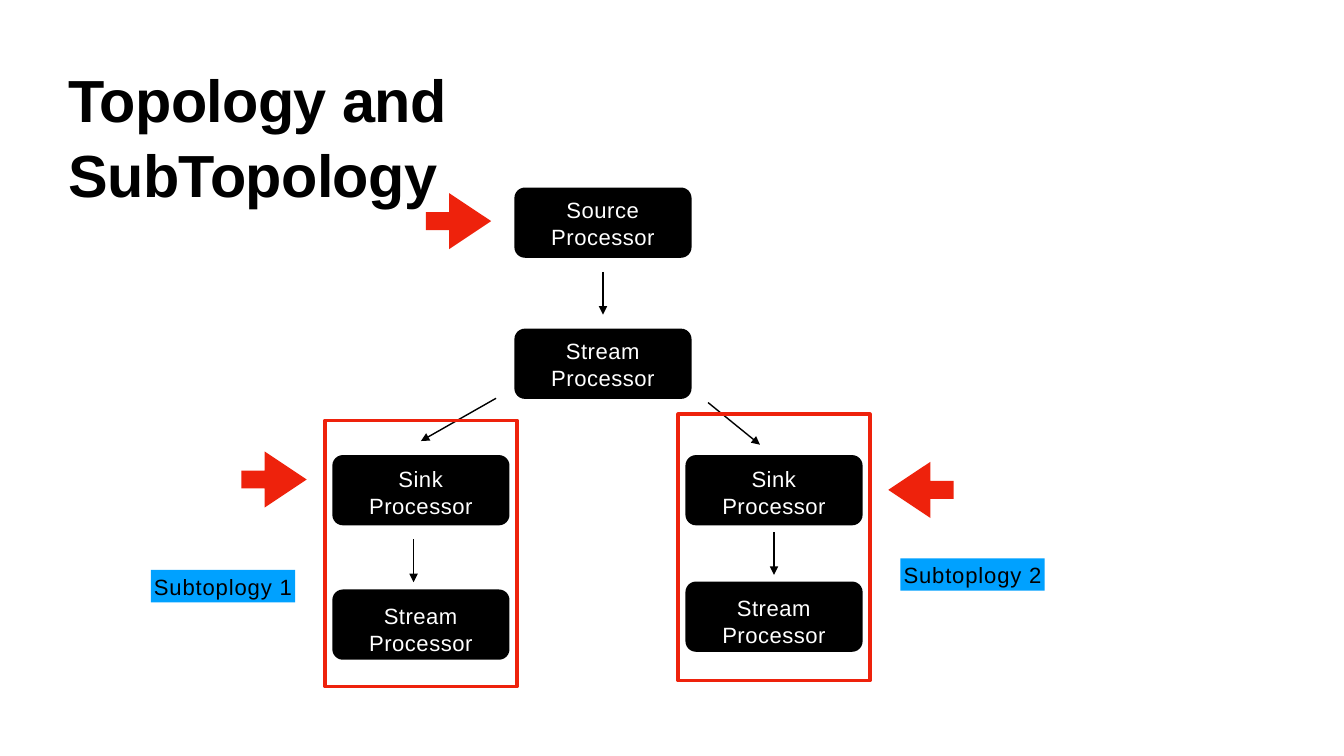
import pptx
import pptx.util
import pptx.dml.color
import pptx.enum.shapes
import pptx.enum.text
import pptx.oxml
import pptx.oxml.ns

SHAPE = pptx.enum.shapes.MSO_SHAPE
ALIGN = pptx.enum.text.PP_ALIGN
ANCHOR = pptx.enum.text.MSO_ANCHOR
BLACK, WHITE, RED, BLUE = "000000", "FFFFFF", "EE220C", "00A1FF"
NODE_W, NODE_H = 2.9, 1.15


def rgb(value):
    return pptx.dml.color.RGBColor.from_string(value)


class Deck:
    font = "Arial"
    columns = 22

    def __init__(self, width, height):
        self.prs = pptx.Presentation()
        self.prs.slide_width = pptx.util.Inches(width)
        self.prs.slide_height = pptx.util.Inches(height)
        self.s = self.prs.slides.add_slide(self.prs.slide_layouts[5])

    def grid(self, *cells):
        return [round(self.prs.slide_width * c / self.columns) for c in cells]

    def text(self, sp, text, size, color, align, anchor, spacing, line=1.0,
             insets=(0, 0, 0, 0), wrap=True, bold=False):
        tf = sp.text_frame
        tf.text = text
        tf.word_wrap = wrap
        tf.auto_size = pptx.enum.text.MSO_AUTO_SIZE.NONE
        tf.vertical_anchor = anchor
        (tf.margin_left, tf.margin_top,
         tf.margin_right, tf.margin_bottom) = self.grid(*insets)
        p = tf.paragraphs[0]
        p.alignment = align
        p.line_spacing = line
        r = p.runs[0]
        r.font.name = self.font
        r.font.size = pptx.util.Pt(size)
        r.font.bold = bold
        r.font.color.rgb = rgb(color)
        r.font._element.set("spc", str(round(spacing * 100)))

    def title(self, text, *at):
        sp = self.s.shapes.title
        sp.left, sp.top, sp.width, sp.height = self.grid(*at)
        self.text(sp, text, 70, BLACK, ALIGN.LEFT, ANCHOR.TOP, -0.7, 1.05,
                  bold=True)

    def shape(self, kind, at, fill=None, line=None, adjust=()):
        sp = self.s.shapes.add_shape(kind, *self.grid(*at))
        sp.shadow.inherit = False
        if fill:
            sp.fill.solid()
            sp.fill.fore_color.rgb = rgb(fill)
        else:
            sp.fill.background()
        if line:
            sp.line.color.rgb = rgb(line)
            sp.line.width = pptx.util.Pt(4.12)
        else:
            sp.line.fill.background()
        for i, value in enumerate(adjust):
            sp.adjustments[i] = value
        return sp

    def node(self, text, x, y, drop=0):
        sp = self.shape(SHAPE.ROUNDED_RECTANGLE, (x, y, NODE_W, NODE_H), BLACK,
                        adjust=[0.15])
        self.text(sp, text, 26, WHITE, ALIGN.CENTER, ANCHOR.MIDDLE, 0.6, 1.03,
                  (0.5, drop, 0.5, 0))

    def label(self, text, x, y):
        sp = self.shape(SHAPE.RECTANGLE, (x, y, 2.36, 0.53), BLUE)
        self.text(sp, text, 26, BLACK, ALIGN.LEFT, ANCHOR.MIDDLE, 1,
                  insets=(0.05, 0.02, 0, 0), wrap=False)

    def pointer(self, kind, x, y):
        self.shape(kind, (x, y, 1.07, 0.92), RED, adjust=[0.32, 0.75])

    def arrow(self, *ends):
        c = self.s.shapes.add_connector(
            pptx.enum.shapes.MSO_CONNECTOR.STRAIGHT, *self.grid(*ends))
        c.line.color.rgb = rgb(BLACK)
        c.line.width = pptx.util.Pt(1.65)
        ns = pptx.oxml.ns.nsdecls("a")
        c.line._get_or_add_ln().append(pptx.oxml.parse_xml(
            f'<a:tailEnd {ns} type="triangle" w="lg" len="lg"/>'))
        c._element.spPr.append(pptx.oxml.parse_xml(f"<a:effectLst {ns}/>"))

    def drop_arrow(self, x, y):
        self.arrow(x, y, x, y + 0.7)


def main():
    deck = Deck(21.99, 12.37)
    deck.title("Topology and SubTopology", 1.12, 0.97, 12.09, 1.2)

    root_x = 8.42
    deck.node("Source Processor", root_x, 3.07)
    deck.drop_arrow(root_x + NODE_W / 2, 4.45)
    deck.node("Stream Processor", root_x, 5.38)
    deck.arrow(8.12, 6.52, 6.89, 7.22)
    deck.arrow(11.59, 6.59, 12.44, 7.28)

    branches = [(5.44, 6.88, 6.77, 8.83, 9.65), (11.22, 6.78, 12.67, 8.71, 9.52)]
    for x, frame_y, arrow_x, arrow_y, stream_y in branches:
        deck.node("Sink Processor", x, 7.45, 0.04)
        deck.drop_arrow(arrow_x, arrow_y)
        deck.node("Stream Processor", x, stream_y, 0.14)
        deck.shape(SHAPE.RECTANGLE, (x - 0.12, frame_y, 3.14, 4.36), line=RED)

    deck.label("Subtoplogy 1", 2.47, 9.33)
    deck.label("Subtoplogy 2", 14.74, 9.14)
    deck.pointer(SHAPE.RIGHT_ARROW, 6.97, 3.16)
    deck.pointer(SHAPE.RIGHT_ARROW, 3.95, 7.39)
    deck.pointer(SHAPE.LEFT_ARROW, 14.54, 7.56)

    deck.prs.save("out.pptx")


if __name__ == "__main__":
    main()
